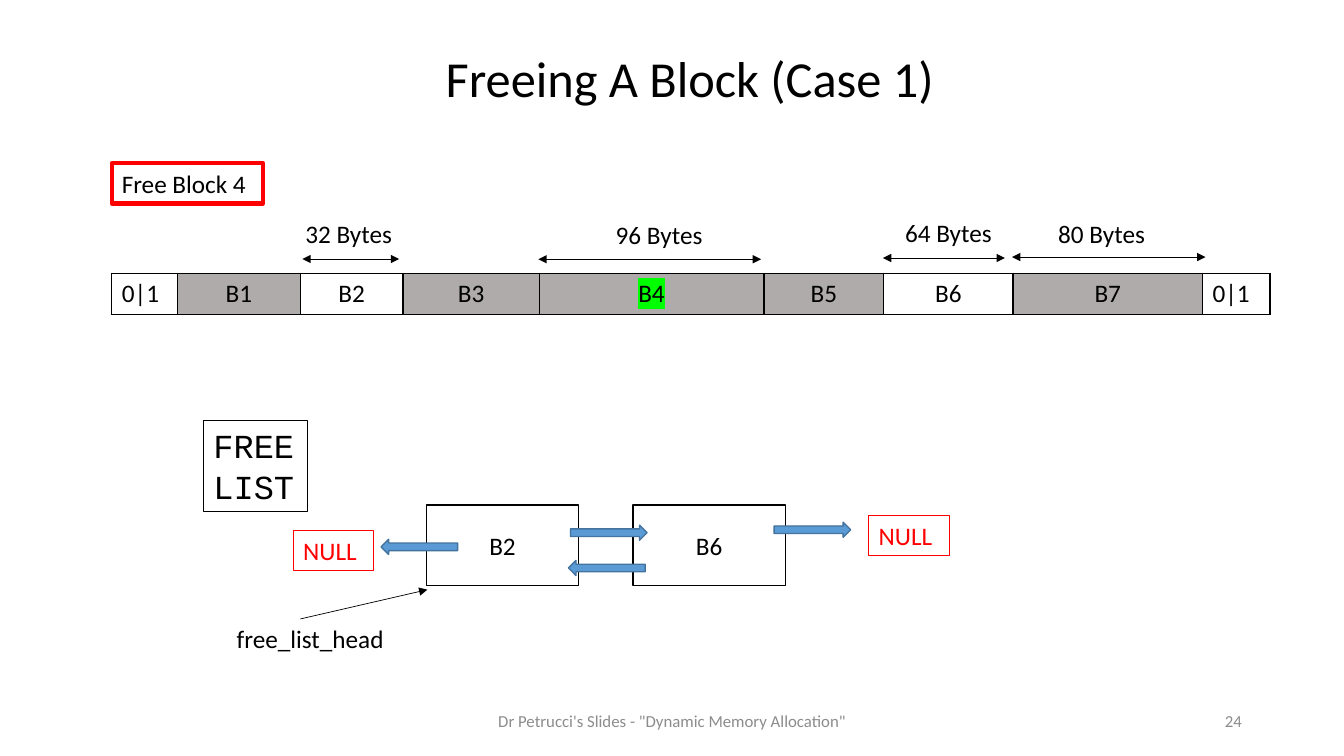
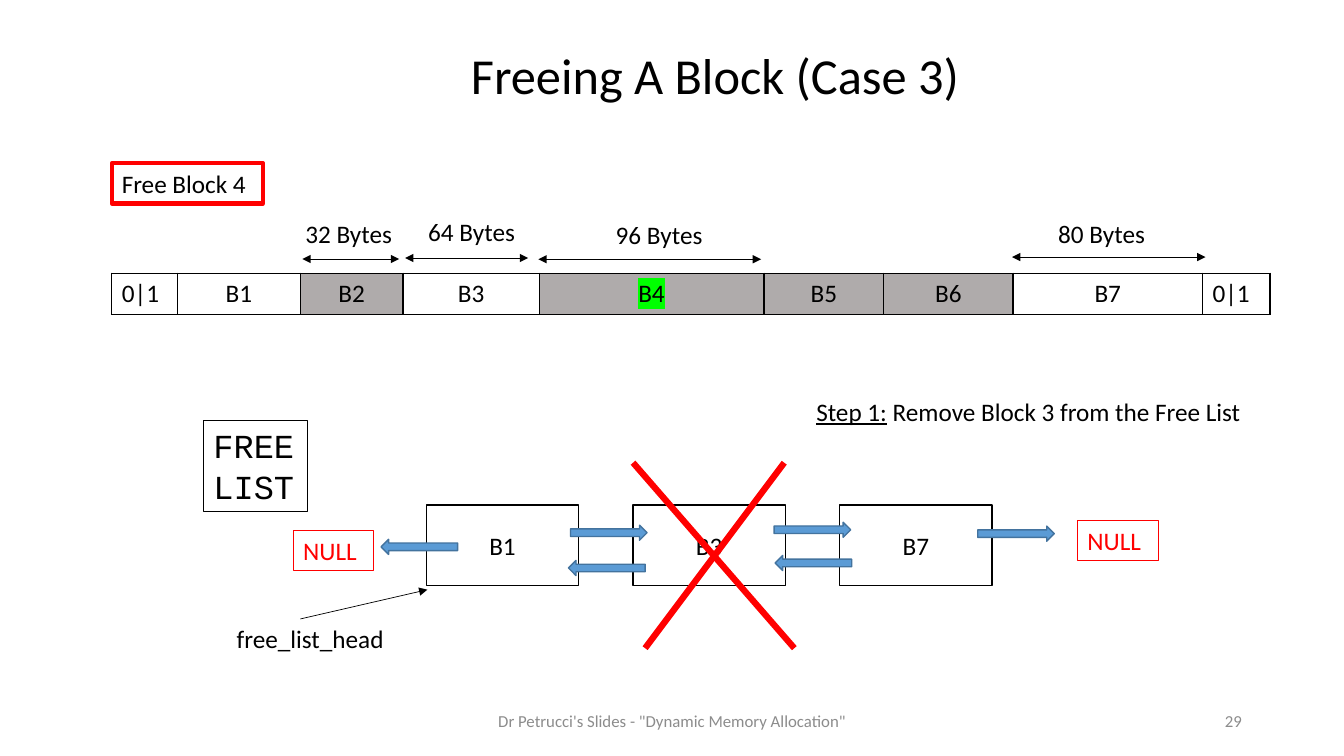
import dataclasses

import lxml.etree
import pptx
import pptx.dml.color
import pptx.enum.shapes
import pptx.enum.text
import pptx.oxml.ns
import pptx.util

Pt = pptx.util.Pt
ALIGN = pptx.enum.text.PP_ALIGN
ANCHOR = pptx.enum.text.MSO_ANCHOR
SHAPE = pptx.enum.shapes.MSO_SHAPE
qn = pptx.oxml.ns.qn


@dataclasses.dataclass(frozen=True)
class Theme:
    black: str = "000000"
    white: str = "FFFFFF"
    red: str = "FF0000"
    muted: str = "8C8C8C"
    allocated: str = "AFABAB"
    highlight: str = "00FF00"
    arrow: str = "5B9BD5"
    arrow_edge: str = "43739E"
    font: str = "Calibri"
    code_font: str = "Courier New"
    title_size: float = 36
    code_size: float = 24
    body_size: float = 18
    footer_size: float = 12


theme = Theme()
rgb = pptx.dml.color.RGBColor.from_string


def write(frame, text, size=theme.body_size, color=theme.black, font=theme.font,
          align=ALIGN.LEFT, anchor=ANCHOR.TOP, underline=None, highlight=None):
    """Append a formatted run to the first paragraph of a text frame."""
    frame.word_wrap = True
    frame.vertical_anchor = anchor
    paragraph = frame.paragraphs[0]
    paragraph.alignment = align
    run = paragraph.add_run()
    run.text = text
    run.font.size = Pt(size)
    run.font.color.rgb = rgb(color)
    run.font.underline = underline
    if highlight:
        mark = lxml.etree.Element(qn("a:highlight"))
        lxml.etree.SubElement(mark, qn("a:srgbClr"), val=highlight)
        run.font.fill  # the colour element already exists at this point
        run.font._element.find(qn("a:solidFill")).addnext(mark)
    run.font.name = font


def draw_line(shapes, start, end, color=theme.black, width=0.5, arrowheads=()):
    """Draw a straight line; arrowheads may hold headEnd (start) and tailEnd (end)."""
    connector = shapes.add_connector(
        pptx.enum.shapes.MSO_CONNECTOR.STRAIGHT, *map(Pt, start + end))
    connector.line.color.rgb = rgb(color)
    connector.line.width = Pt(width)
    properties = connector._element.spPr
    for name in arrowheads:
        lxml.etree.SubElement(properties.find(qn("a:ln")), qn("a:" + name), type="triangle")
    lxml.etree.SubElement(properties, qn("a:effectLst"))


COLUMN_WIDTHS = [46.8, 87.8, 73.4, 97.2, 160.6, 85.7, 92.2, 135.4, 48.2]
HEAP_CELLS = ["0|1", "B1", "B2", "B3", "B4", "B5", "B6", "B7", "0|1"]

# Text, arrow start x, arrow end x, arrow y, label left, label top
SHARED_SPANS = [
    ("32 Bytes", 216, 285.1, 185, 211, 152.6),
    ("96 Bytes", 384.5, 543.6, 185.2, 432.7, 153.4),
    ("80 Bytes", 722.9, 861.1, 183.6, 748.8, 152.6),
]
FORWARD_ARROWS = [(407.5, 375.1), (553, 373), (698.4, 375.8)]
BACK_ARROWS = [(272.2, 385.2), (406.1, 400.3), (553.7, 396.7)]

CASES = [
    dict(title="Freeing A Block (Case 1)", title_box=(292.3, 30.2, 401, 51.1),
         number="24", free=["B2", "B6"],
         span=("64 Bytes", 630.7, 717.8, 184.3, 639.4, 151.9),
         last_null=(620.6, 367.9), removed_step=None),
    dict(title="Freeing A Block (Case 3)", title_box=(298.8, 28.1, 424, 51.1),
         number="29", free=["B1", "B3", "B7"],
         span=("64 Bytes", 289.4, 377.3, 184.3, 298.8, 151.2),
         last_null=(769.7, 371.5),
         removed_step=("Step 1:", " Remove Block 3 from the Free List")),
]

presentation = pptx.Presentation()
presentation.slide_width = Pt(960)
presentation.slide_height = Pt(540)
title_only = presentation.slide_layouts[5]

for case in CASES:
    slide = presentation.slides.add_slide(title_only)
    title = slide.shapes.title
    title.left, title.top, title.width, title.height = map(Pt, case["title_box"])
    write(title.text_frame, case["title"], size=theme.title_size, align=ALIGN.CENTER)

    # Heap blocks
    table_frame = slide.shapes.add_table(
        1, len(HEAP_CELLS), Pt(79.9), Pt(195.1), Pt(sum(COLUMN_WIDTHS)), Pt(29.5))
    table = table_frame.table
    table.first_row = table.horz_banding = False
    for column, width, name, cell in zip(
            table.columns, COLUMN_WIDTHS, HEAP_CELLS, table.rows[0].cells):
        column.width = Pt(width)
        is_block = name.startswith("B")
        is_allocated = is_block and name not in case["free"]
        cell.fill.solid()
        cell.fill.fore_color.rgb = rgb(theme.allocated if is_allocated else theme.white)
        write(cell.text_frame, name, align=ALIGN.CENTER if is_block else ALIGN.LEFT,
              highlight=theme.highlight if name == "B4" else None)
        for index, side in enumerate(["lnL", "lnR", "lnT", "lnB"]):
            border = lxml.etree.Element(qn("a:" + side), w=str(Pt(1)))
            fill = lxml.etree.SubElement(border, qn("a:solidFill"))
            lxml.etree.SubElement(fill, qn("a:srgbClr"), val=theme.black)
            cell._tc.tcPr.insert(index, border)

    # Plain labels
    labels = [
        ((162, 441.4, 127.4, 51.1), "free_list_head", {}),
        ((678.2, 500.4, 216, 28.8), case["number"],
         dict(size=theme.footer_size, color=theme.muted, align=ALIGN.RIGHT,
              anchor=ANCHOR.MIDDLE)),
        ((318.2, 500.4, 324, 28.8), 'Dr Petrucci\'s Slides - "Dynamic Memory Allocation"',
         dict(size=theme.footer_size, color=theme.muted, align=ALIGN.CENTER,
              anchor=ANCHOR.MIDDLE)),
    ]
    for text, start, end, y, left, top in SHARED_SPANS + [case["span"]]:
        draw_line(slide.shapes, (start, y), (end, y), arrowheads=("headEnd", "tailEnd"))
        labels.append(((left, top, 78.5, 28.8), text, {}))
    for box, text, text_format in labels:
        write(slide.shapes.add_textbox(*map(Pt, box)).text_frame, text, **text_format)

    # Framed text and list nodes
    null_format = dict(color=theme.red)
    frames = [
        ((79.9, 116.6, 108, 28.8), "Free Block 4", theme.red, 3, {}),
        ((145.4, 300.2, 74.2, 65.5), "FREE LIST", theme.black, 0.75,
         dict(size=theme.code_size, font=theme.code_font)),
        ((209.5, 378.7, 57.6, 28.8), "NULL", theme.red, 0.75, null_format),
        (case["last_null"] + (57.6, 28.8), "NULL", theme.red, 0.75, null_format),
    ]
    for index, name in enumerate(case["free"]):
        frames.append(((304.6 + 147.6 * index, 360.7, 108.7, 57.6), name, theme.black, 1,
                       dict(align=ALIGN.CENTER, anchor=ANCHOR.MIDDLE)))
    for box, text, edge, edge_width, text_format in frames:
        shape = slide.shapes.add_shape(SHAPE.RECTANGLE, *map(Pt, box))
        shape.shadow.inherit = False
        shape.fill.solid()
        shape.fill.fore_color.rgb = rgb(theme.white)
        shape.line.color.rgb = rgb(edge)
        shape.line.width = Pt(edge_width)
        write(shape.text_frame, text, **text_format)

    # Links between nodes
    for kind, positions in [(SHAPE.RIGHT_ARROW, FORWARD_ARROWS),
                            (SHAPE.LEFT_ARROW, BACK_ARROWS)]:
        for left, top in positions[:len(case["free"])]:
            arrow = slide.shapes.add_shape(kind, Pt(left), Pt(top), Pt(54.7), Pt(10.8))
            arrow.shadow.inherit = False
            arrow.fill.solid()
            arrow.fill.fore_color.rgb = rgb(theme.arrow)
            arrow.line.color.rgb = rgb(theme.arrow_edge)
            arrow.line.width = Pt(1)
    draw_line(slide.shapes, (214.6, 442.1), (305.3, 421.2), arrowheads=("tailEnd",))

    # Removed node
    if case["removed_step"]:
        cross = slide.shapes.add_group_shape().shapes
        for start, end in [((560.2, 330.5), (460.8, 463)), ((452.2, 330.5), (567.4, 463))]:
            draw_line(cross, start, end, color=theme.red, width=4.5)
        step_name, step_text = case["removed_step"]
        step = slide.shapes.add_textbox(Pt(576), Pt(279.4), Pt(345.6), Pt(28.8))
        write(step.text_frame, step_name, underline=True)
        write(step.text_frame, step_text)

presentation.save("out.pptx")
